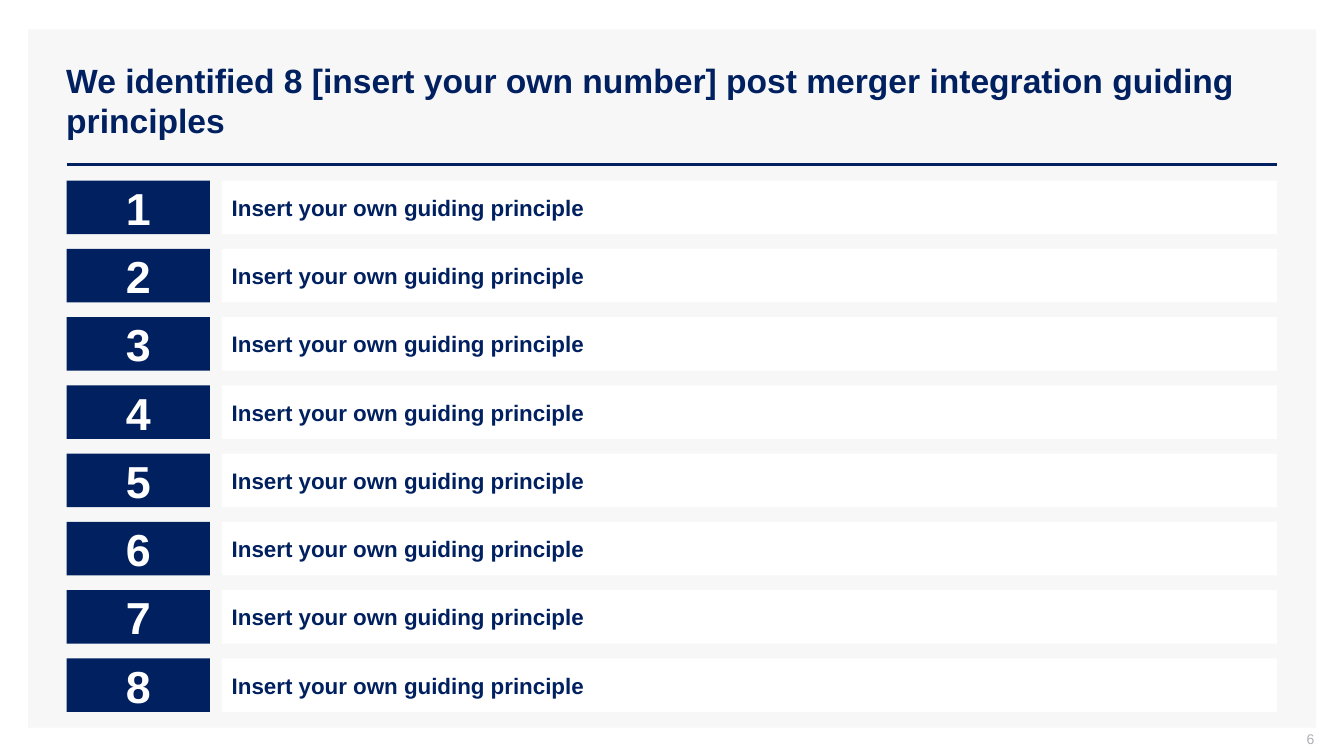
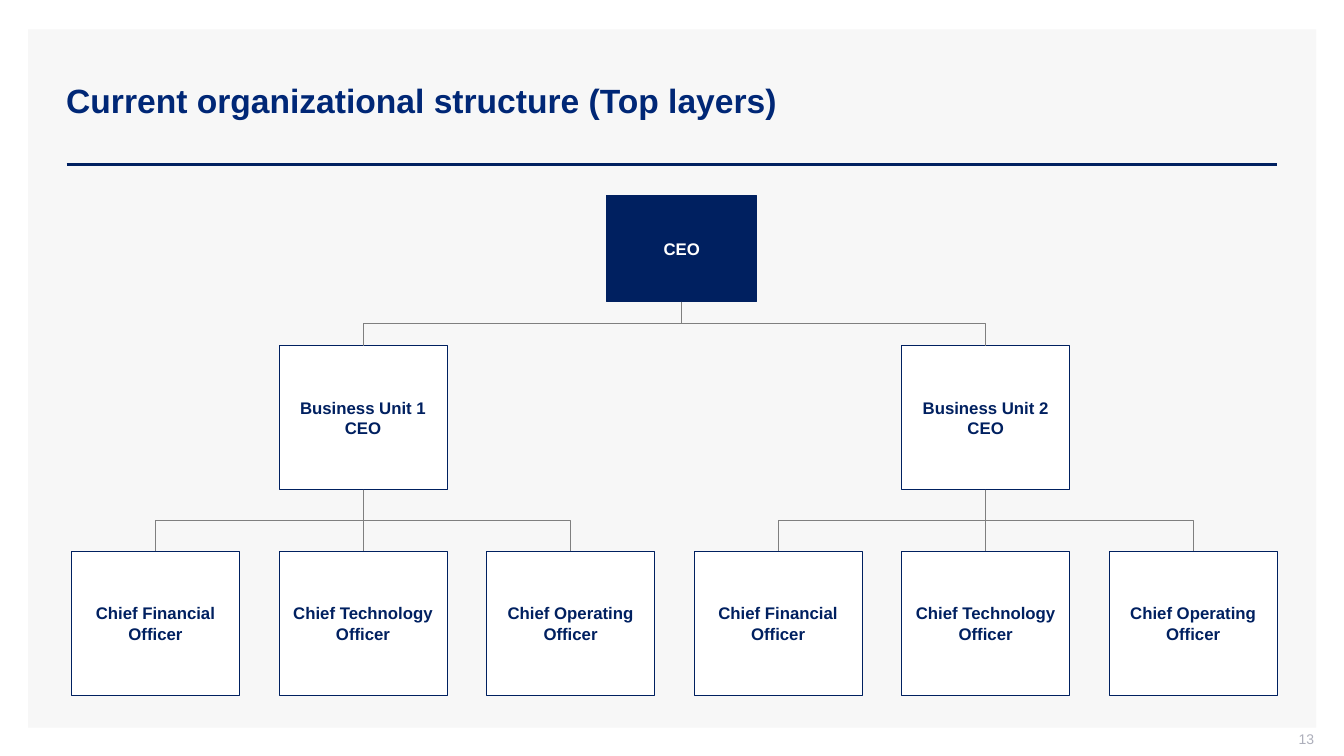
import pptx
import pptx.util
import pptx.dml.color
import pptx.enum.shapes
import pptx.enum.text
import pptx.oxml.xmlchemy
import lxml.etree

Cm = pptx.util.Cm
Pt = pptx.util.Pt
KIND = pptx.enum.shapes.MSO_CONNECTOR
SIDE = pptx.enum.text.PP_ALIGN
NAVY, WHITE, GRAY = "002060", "FFFFFF", "7F7F7F"


def rgb(code):
    return pptx.dml.color.RGBColor.from_string(code)


def put(slide, text, at, fill=None, edge=None, size=12, color=NAVY, bold=True,
        align=SIDE.LEFT, pad=(0.25, 0.13, 0.25, 0.13)):
    place = [Cm(v) for v in at]
    if fill:
        box = slide.shapes.add_shape(pptx.enum.shapes.MSO_SHAPE.RECTANGLE, *place)
        box.shadow.inherit = False
        box.fill.solid()
        box.fill.fore_color.rgb = rgb(fill)
        if edge:
            box.line.color.rgb = rgb(edge)
            box.line.width = Pt(0.5)
        else:
            box.line.fill.background()
    else:
        box = slide.shapes.add_textbox(*place)
    if text:
        frame = box.text_frame
        frame.word_wrap = True
        frame.vertical_anchor = pptx.enum.text.MSO_ANCHOR.MIDDLE
        frame.margin_left, frame.margin_top, frame.margin_right, frame.margin_bottom = [
            Cm(v) for v in pad]
        para = frame.paragraphs[0]
        para.alignment = align
        run = para.add_run()
        run.text = text
        run.font.name = "Arial"
        run.font.size = Pt(size)
        run.font.bold = bold
        run.font.color.rgb = rgb(color)
    return box


deck = pptx.Presentation()
deck.slide_width, deck.slide_height = Cm(33.87), Cm(19.05)

heads = [
    ("We identified 8 [insert your own number] post merger integration guiding principles",
     NAVY, "6"),
    ("Current organizational structure (Top layers)", "002776", "13"),
]
for title, color, page in heads:
    slide = deck.slides.add_slide(deck.slide_layouts[6])
    put(slide, "", (0.71, 0.74, 32.46, 17.6), fill="F7F7F7")
    rule = slide.shapes.add_connector(KIND.STRAIGHT, Cm(1.68), Cm(4.14), Cm(32.18), Cm(4.14))
    rule.line.color.rgb = rgb(NAVY)
    rule.line.width = Pt(2)
    put(slide, title, (1.42, 1.02, 30.76, 3.02), size=24, color=color)
    put(slide, page, (25.5, 18.42, 7.62, 0.53), size=10, color="ADAFBB", bold=False,
        align=SIDE.RIGHT, pad=(0.25, 0, 0, 0.13))

list_page, org_page = deck.slides

for row in range(8):
    top = 4.55 + row * 1.72
    put(list_page, str(row + 1), (1.68, top, 3.61, 1.35), fill=NAVY, size=32,
        color=WHITE, align=SIDE.CENTER)
    put(list_page, "Insert your own guiding principle", (5.59, top, 26.59, 1.35),
        fill=WHITE, size=16)

card = dict(edge=NAVY, align=SIDE.CENTER, pad=(0.05,) * 4)
left, step, wide, high = 1.8, 5.23, 4.24, 3.63
chief = put(org_page, "CEO", (15.29, 4.93, 3.78, 2.67), fill=NAVY, color=WHITE, **card)
links = []
for unit in range(2):
    first = unit * 3
    boss = put(org_page, f"Business Unit {unit + 1} CEO",
               (left + (first + 1) * step, 8.71, wide, high), fill=WHITE, **card)
    links.append((chief, boss))
    for col, role in enumerate(["Financial", "Technology", "Operating"], first):
        staff = put(org_page, f"Chief {role} Officer",
                    (left + col * step, 13.89, wide, high), fill=WHITE, **card)
        links.append((boss, staff))

for head, sub in links:
    x, y = head.left + head.width // 2, head.top + head.height
    end, low = sub.left + sub.width // 2, sub.top
    kind = KIND.STRAIGHT if x == end else KIND.ELBOW
    link = org_page.shapes.add_connector(kind, x, y, end, low)
    link.begin_connect(head, 2)
    link.end_connect(sub, 0)
    link.line.color.rgb = rgb(GRAY)
    link.line.width = Pt(0.5)
    if kind == KIND.ELBOW:
        span, drop = abs(end - x), low - y
        link.left, link.top = (x + end - drop) // 2, (y + low - span) // 2
        link.width, link.height = drop, span
        frame = link._element.spPr.xfrm
        frame.set("rot", "16200000" if end > x else "5400000")
        frame.set("flipH", "1" if end > x else "0")

for slide in deck.slides:
    for shape in slide.shapes:
        if shape.shape_type == pptx.enum.shapes.MSO_SHAPE_TYPE.LINE:
            lxml.etree.SubElement(shape._element.spPr, pptx.oxml.ns.qn("a:effectLst"))

deck.save("out.pptx")
